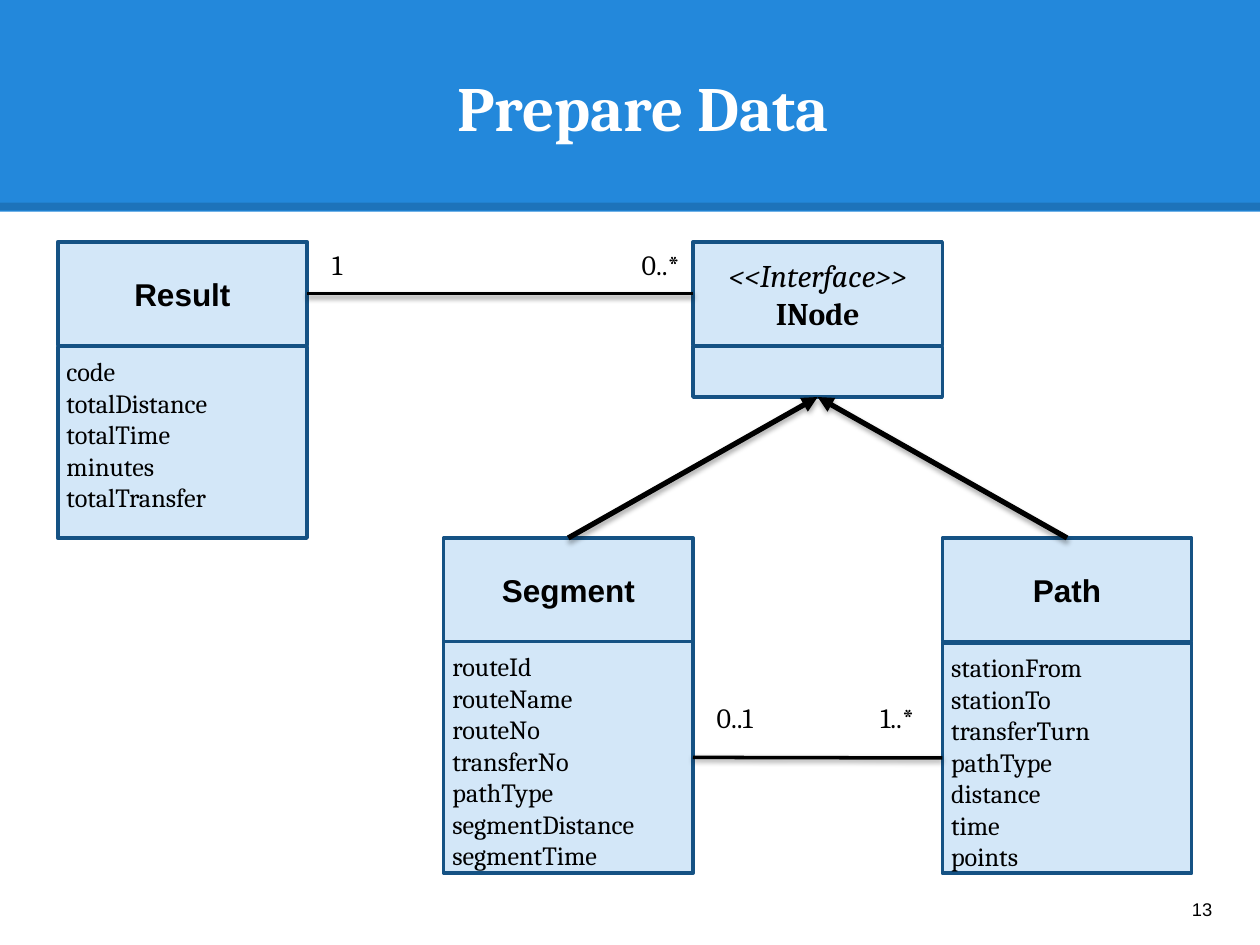
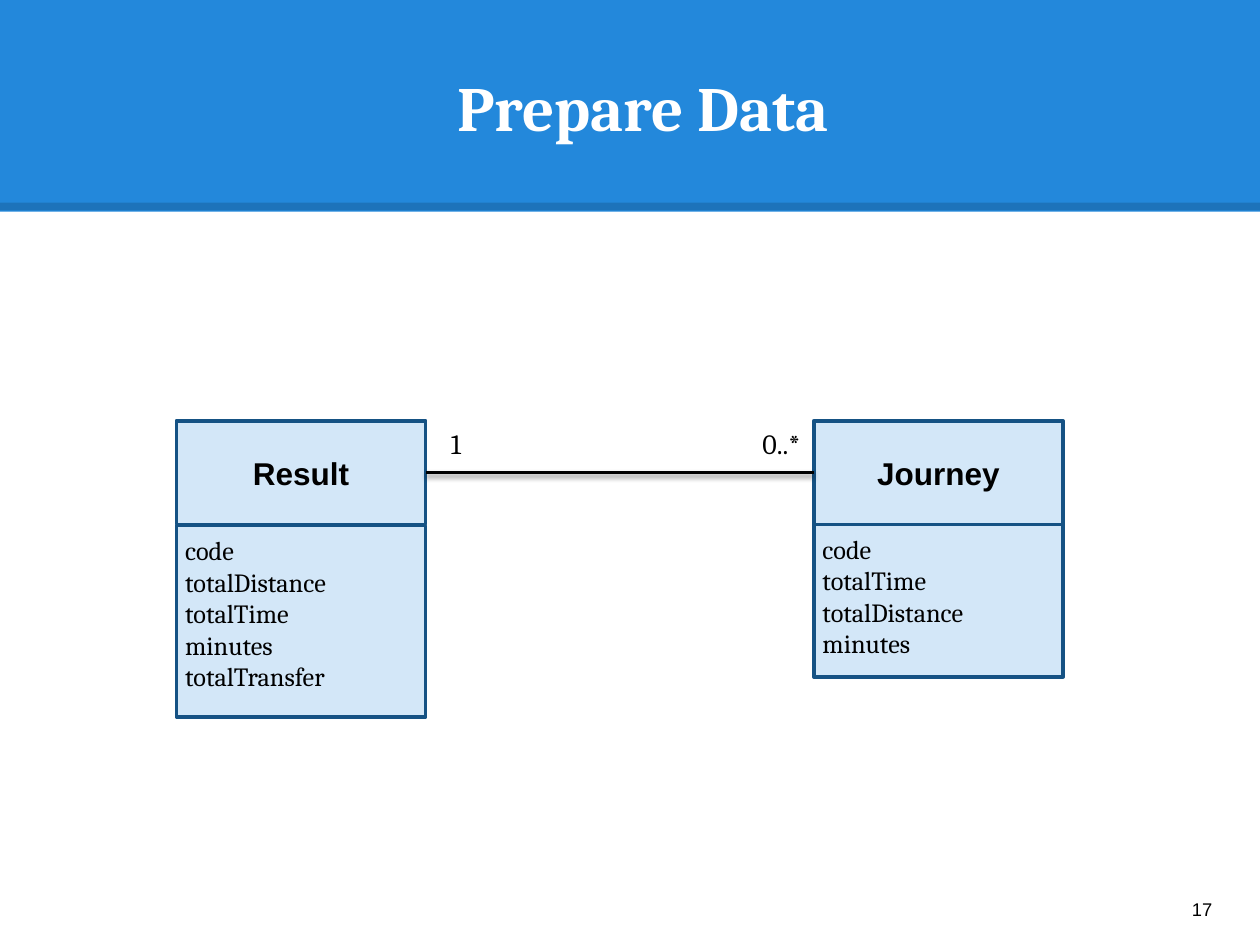
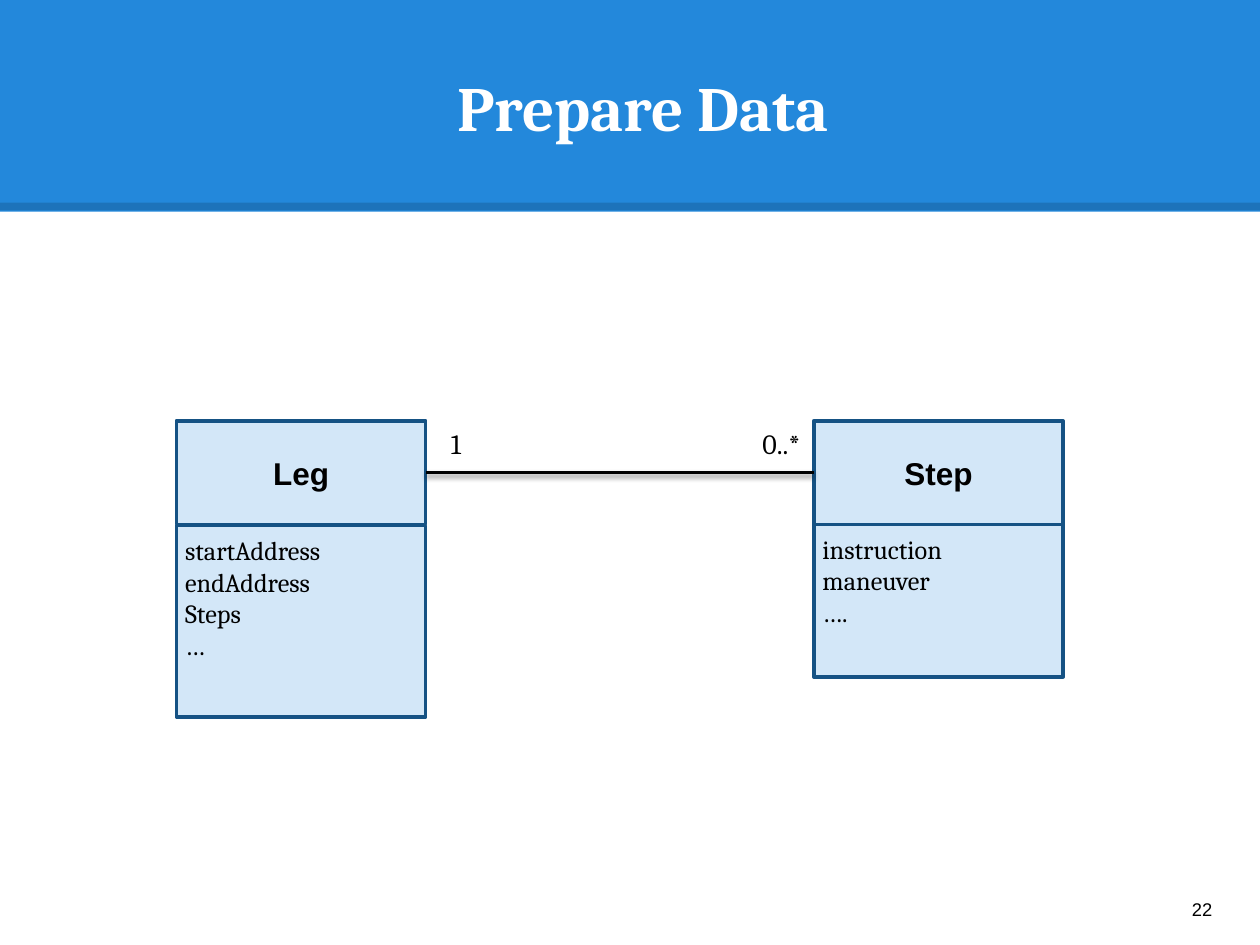
from pptx import Presentation
from pptx.dml.color import RGBColor
from pptx.enum import shapes, text
from pptx.oxml import parse_xml
from pptx.oxml.ns import nsdecls
from pptx.util import Pt

COLORS = {"band": "2388DB", "fill": "D3E7F8", "edge": "155284",
          "ink": "000000", "paper": "FFFFFF"}
SERIF, SANS = "Cambria", "Arial"
WIDTH, HEIGHT = 720, 540
BOX_W, HEAD_H = 142.5, 59.2
TOP, LEFT, BOTTOM, RIGHT = range(4)  # connection sites of a rectangle


def rgb(name):
    return RGBColor.from_string(COLORS[name])


class Deck:
    def __init__(self):
        self.prs = Presentation()
        self.prs.slide_width, self.prs.slide_height = Pt(WIDTH), Pt(HEIGHT)
        self.s = None

    def slide(self, title, number):
        """Start a slide with its band, page number and title."""
        self.s = self.prs.slides.add_slide(self.prs.slide_layouts[6])
        self.rect(0, 0, WIDTH, 121, "band")
        rule = self.line((0, 118), (WIDTH, 118), 4.5)
        color = rule.line._ln.find(".//{*}srgbClr")
        color.append(parse_xml(f'<a:alpha {nsdecls("a")} val="15000"/>'))
        rule._element.spPr.append(parse_xml(f'<a:effectLst {nsdecls("a")}/>'))
        self.textbox(number, 674, 499, 43, 41, 10.5, font=SANS,
                     anchor=text.MSO_ANCHOR.MIDDLE)
        self.textbox(title, 17.3, 23.8, 700, 66, 36, color="paper", bold=True,
                     align=text.PP_ALIGN.CENTER, anchor=text.MSO_ANCHOR.BOTTOM)

    def rect(self, x, y, w, h, fill, edge=None):
        sp = self.s.shapes.add_shape(shapes.MSO_SHAPE.RECTANGLE,
                                     Pt(x), Pt(y), Pt(w), Pt(h))
        sp.shadow.inherit = False
        sp.fill.solid()
        sp.fill.fore_color.rgb = rgb(fill)
        if edge:
            sp.line.color.rgb = rgb(edge)
            sp.line.width = Pt(2)
        else:
            sp.line.fill.background()
        return sp

    def set_text(self, sp, lines, size, font=SERIF, color="ink", bold=None,
                 align=text.PP_ALIGN.LEFT, anchor=text.MSO_ANCHOR.TOP,
                 inset=(5, 5), wrap=True):
        """Fill a shape with one paragraph per line."""
        tf = sp.text_frame
        tf.word_wrap, tf.vertical_anchor = wrap, anchor
        tf.margin_left = tf.margin_right = Pt(inset[0])
        tf.margin_top = tf.margin_bottom = Pt(inset[1])
        tf.text = "\n".join(lines)
        for p in tf.paragraphs:
            p.alignment = align
            p.font.size, p.font.name, p.font.bold = Pt(size), font, bold
            p.font.color.rgb = rgb(color)
        return tf

    def textbox(self, line, x, y, w, h, size, inset=(7.2, 7.2), **style):
        sp = self.s.shapes.add_textbox(Pt(x), Pt(y), Pt(w), Pt(h))
        return self.set_text(sp, [line], size, inset=inset, **style)

    def label(self, line, x, y, w):
        """Multiplicity beside the end of an association."""
        tf = self.textbox(line, x, y, w, 26.6, 16, inset=(7.2, 3.6), wrap=False)
        tf.auto_size = text.MSO_AUTO_SIZE.SHAPE_TO_FIT_TEXT

    def uml_class(self, name, fields, x, y, body_h, gap=0.7, stereotype=None):
        """Class box; returns its header and body."""
        body = self.rect(x, y + HEAD_H + gap, BOX_W, body_h, "fill", "edge")
        if fields:
            self.set_text(body, fields.split(), 15)
        head = self.rect(x, y, BOX_W, HEAD_H, "fill", "edge")
        lines = [stereotype, name] if stereotype else [name]
        tf = self.set_text(head, lines, 18, font=SERIF if stereotype else SANS,
                           bold=True, align=text.PP_ALIGN.CENTER,
                           anchor=text.MSO_ANCHOR.MIDDLE)
        if stereotype:
            tf.paragraphs[0].font.bold = False
            tf.paragraphs[0].font.italic = True
        return head, body

    def line(self, start, end, width):
        c = self.s.shapes.add_connector(shapes.MSO_CONNECTOR.STRAIGHT,
                                        *map(Pt, start + end))
        c.line.color.rgb = rgb("ink")
        c.line.width = Pt(width)
        return c

    def link(self, source, site, target, target_site, width=2, arrow=False):
        """Shadowed line glued to two boxes."""
        c = self.line((0, 0), (0, 0), width)
        c.begin_connect(source, site)
        c.end_connect(target, target_site)
        if arrow:
            c.line._ln.append(
                parse_xml(f'<a:tailEnd {nsdecls("a")} type="triangle"/>'))
        dist, alpha = (1.8, 35) if arrow else (1.6, 38)
        c._element.spPr.append(parse_xml(
            f'<a:effectLst {nsdecls("a")}><a:outerShdw blurRad="{Pt(3.1)}" '
            f'dist="{Pt(dist)}" dir="5400000" rotWithShape="0">'
            f'<a:srgbClr val="{COLORS["ink"]}"><a:alpha val="{alpha}000"/>'
            '</a:srgbClr></a:outerShdw></a:effectLst>'))

    def one_to_many(self, one, many, x, many_x, y):
        """Association between two headers, 1 to 0..*."""
        self.link(one, RIGHT, many, LEFT)
        self.label("1", x + BOX_W + 7.2, y, 24)
        self.label("0..*", many_x - 36.4, y, 37)


RESULT_FIELDS = "code totalDistance totalTime minutes totalTransfer"
TITLE = "Prepare Data"


def main():
    d = Deck()

    # Result with its node hierarchy
    x, node_x, y, sub_y = 33, 396, 138.2, 307.4
    d.slide(TITLE, "13")
    inode, inode_body = d.uml_class("INode", "", node_x, y, 28.8,
                                    stereotype="<<Interface>>")
    result, _ = d.uml_class("Result", RESULT_FIELDS, x, y, 109.4)
    segment, segment_body = d.uml_class(
        "Segment", "routeId routeName routeNo transferNo pathType "
        "segmentDistance segmentTime", node_x - BOX_W, sub_y, 132.4, gap=0)
    path_head, path_body = d.uml_class(
        "Path", "stationFrom stationTo transferTurn pathType distance "
        "time points", node_x + BOX_W, sub_y, 131.7)
    d.one_to_many(result, inode, x, node_x, y)
    for child in (segment, path_head):
        d.link(child, TOP, inode_body, BOTTOM, width=3, arrow=True)
    d.link(segment_body, RIGHT, path_body, LEFT)
    d.label("0..1", 402.5, 396.7, 39)
    d.label("1..*", 496, 396.7, 37)

    # Class pairs
    pairs = [("17", ("Result", RESULT_FIELDS),
              ("Journey", "code totalTime totalDistance minutes")),
             ("22", ("Leg", "startAddress endAddress Steps …"),
              ("Step", "instruction maneuver …."))]
    x, many_x, y = 100.8, 465, 240.5
    for number, one, many in pairs:
        d.slide(TITLE, number)
        one_head, _ = d.uml_class(*one, x, y, 109.4)
        many_head, _ = d.uml_class(*many, many_x, y, 87.1, gap=0)
        d.one_to_many(one_head, many_head, x, many_x, y)

    d.prs.save("out.pptx")


if __name__ == "__main__":
    main()
